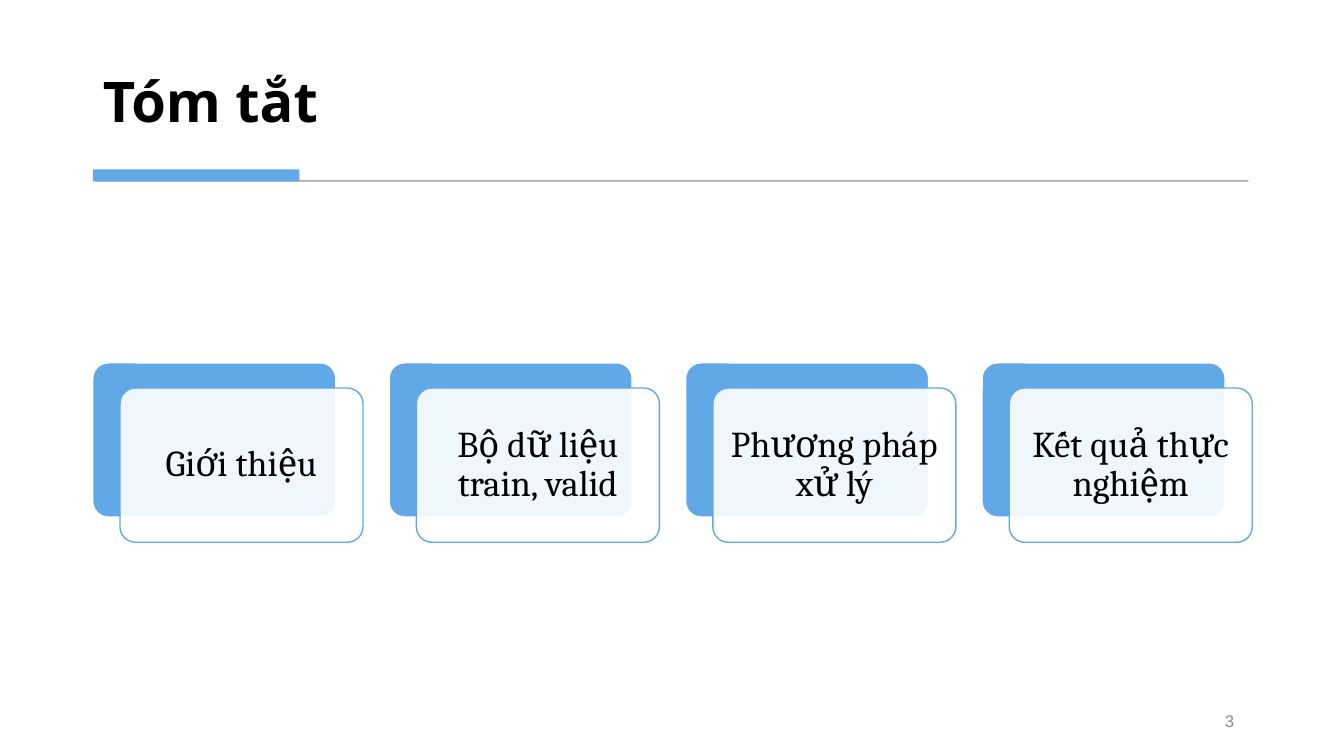
"""Build the summary slide with four overlapping topic cards."""
from lxml.etree import SubElement
from pptx import Presentation
from pptx.dml.color import RGBColor
from pptx.enum.shapes import MSO_SHAPE
from pptx.enum.text import MSO_ANCHOR, PP_ALIGN
from pptx.oxml.ns import qn
from pptx.util import Inches, Pt

TITLE = "Tóm tắt"
TOPICS = ["Giới thiệu", "Bộ dữ liệu train, valid", "Phương pháp xử lý", "Kết quả thực nghiệm"]
PAGE_NUMBER = "3"
COLORS = {"blue": "61A8E7", "white": "FFFFFF", "black": "000000", "rule": "595959", "number": "8C8C8C"}
LEFT, TOP, STEP = 0.92, 3.6, 2.94
CARD_WIDTH, CARD_HEIGHT = 2.41, 1.53
SHIFT_X, SHIFT_Y = 0.27, 0.25


def set_color(color_format, name, opacity=None):
    color_format.rgb = RGBColor.from_string(COLORS[name])
    if opacity is not None:
        for color in color_format._xFill.iter(qn("a:srgbClr")):
            SubElement(color, qn("a:alpha")).set("val", str(opacity * 1000))


def add_box(page, kind, place, fill, line=None, opacity=None, line_opacity=None, line_width=1):
    box = page.shapes.add_shape(kind, *map(Inches, place))
    box.shadow.inherit = False
    box.fill.solid()
    set_color(box.fill.fore_color, fill, opacity)
    if line:
        box.line.width = Pt(line_width)
        box.line.fill.solid()
        set_color(box.line.fill.fore_color, line, line_opacity)
    else:
        box.line.fill.background()
    if kind == MSO_SHAPE.ROUNDED_RECTANGLE:
        box.adjustments[0] = 0.1
    return box


def write(box, text, font, size, color, align, anchor, spacing=1.0, bold=False):
    frame = box.text_frame
    frame.word_wrap = True
    frame.vertical_anchor = anchor
    para = frame.paragraphs[0]
    para.alignment = align
    para.line_spacing = spacing
    span = para.add_run()
    span.text = text
    span.font.name = font
    span.font.size = Pt(size)
    span.font.bold = bold
    set_color(span.font.color, color)
    return frame


deck = Presentation()
deck.slide_width, deck.slide_height = Inches(13.33), Inches(7.5)
page = deck.slides.add_slide(deck.slide_layouts[5])

title = page.shapes.title
title.left, title.top, title.width, title.height = map(Inches, (LEFT, 0.28, 11.49, 1.11))
write(title, TITLE, "Open Sans", 40, "black", PP_ALIGN.LEFT, MSO_ANCHOR.BOTTOM, 0.9, True)

add_box(page, MSO_SHAPE.RECTANGLE, (0.95, 1.79, 11.43, 0.01), "rule", "rule", 30, 30, 0.75)
add_box(page, MSO_SHAPE.RECTANGLE, (LEFT, 1.68, 2.05, 0.12), "blue")

for index, topic in enumerate(TOPICS):
    left = LEFT + index * STEP
    add_box(page, MSO_SHAPE.ROUNDED_RECTANGLE, (left, TOP, CARD_WIDTH, CARD_HEIGHT), "blue", "white")
    card = add_box(page, MSO_SHAPE.ROUNDED_RECTANGLE,
                   (left + SHIFT_X, TOP + SHIFT_Y, CARD_WIDTH, CARD_HEIGHT), "white", "blue", 90)
    frame = write(card, topic, "Cambria", 26, "black", PP_ALIGN.CENTER, MSO_ANCHOR.MIDDLE, 0.9)
    frame.margin_left = frame.margin_right = frame.margin_top = frame.margin_bottom = Inches(0.11)

number = page.shapes.add_textbox(*map(Inches, (9.34, 6.95, 3, 0.4)))
write(number, PAGE_NUMBER, "Arial", 12, "number", PP_ALIGN.RIGHT, MSO_ANCHOR.MIDDLE)

deck.save("out.pptx")
